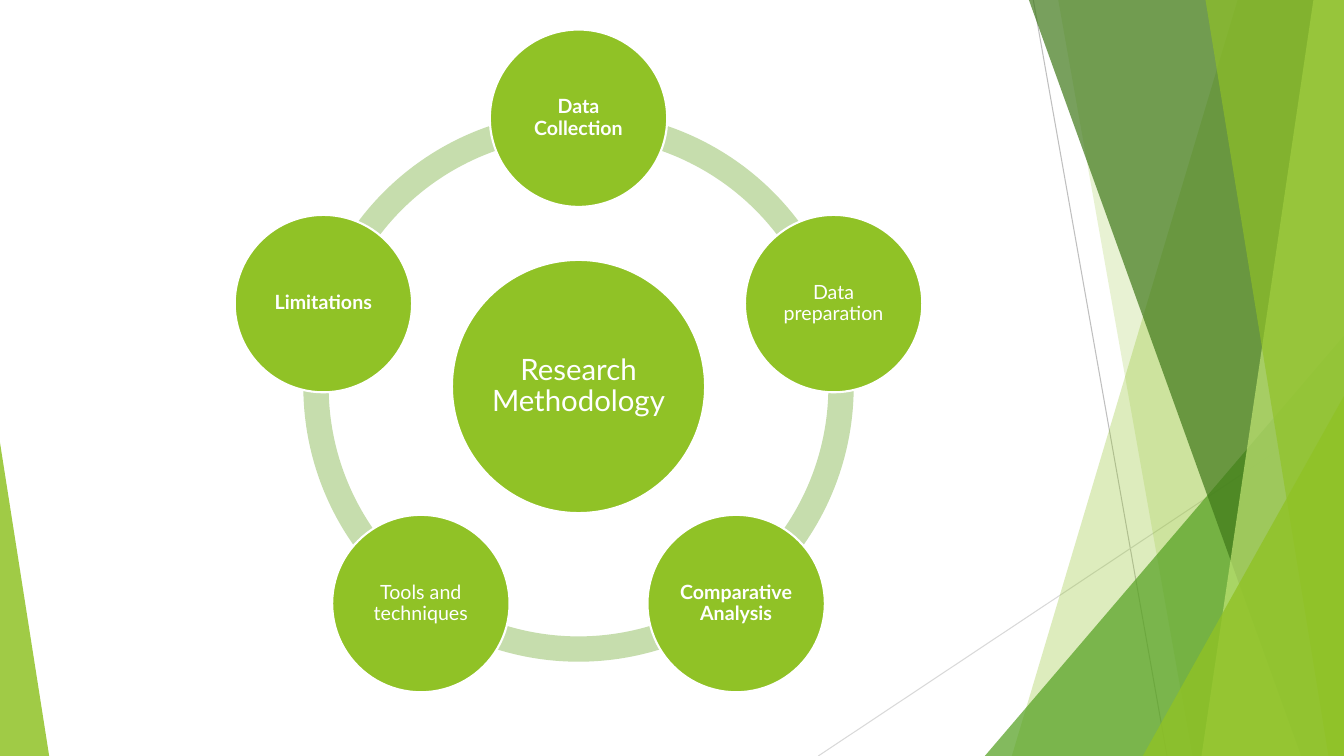
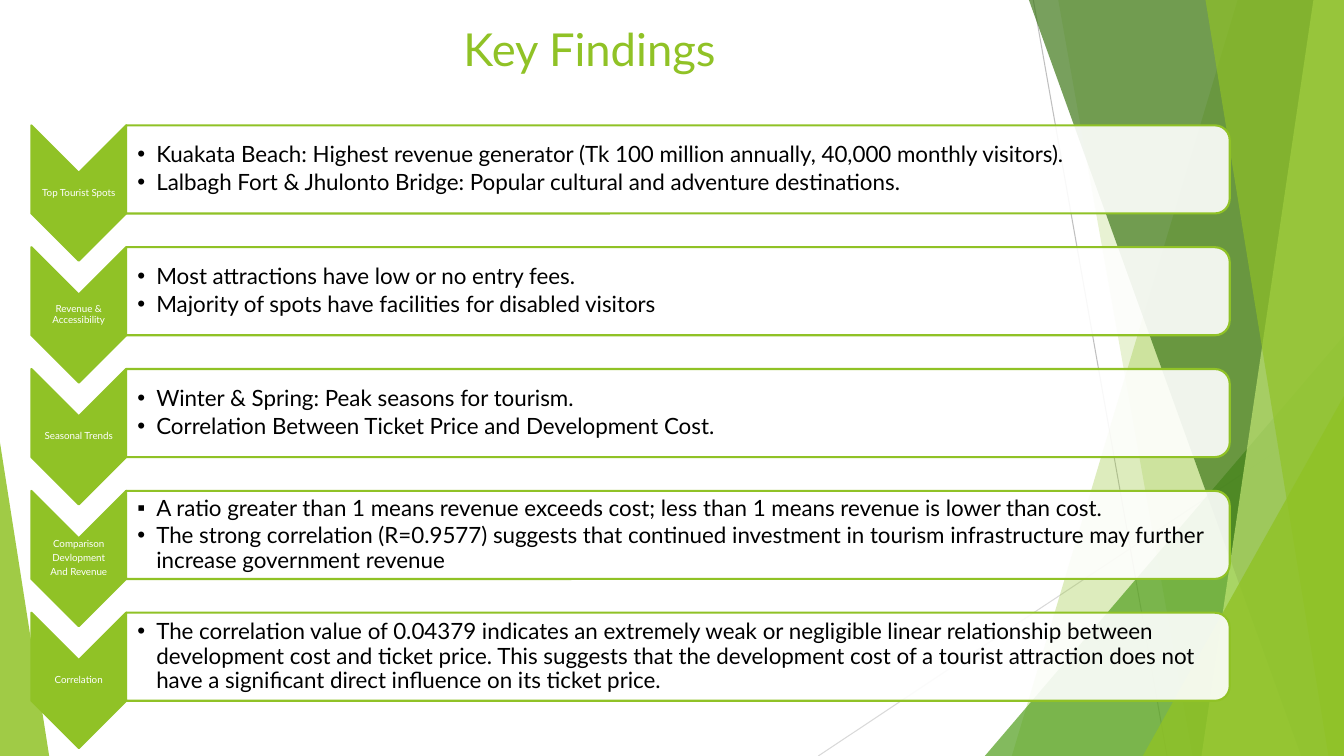
from dataclasses import dataclass
from math import cos, radians, sin

from lxml.etree import SubElement
from pptx import Presentation
from pptx.dml.color import RGBColor
from pptx.enum.shapes import MSO_CONNECTOR as Connector
from pptx.enum.shapes import MSO_SHAPE as Preset
from pptx.enum.text import MSO_ANCHOR as Anchor
from pptx.enum.text import MSO_AUTO_SIZE as AutoSize
from pptx.enum.text import PP_ALIGN as Align
from pptx.oxml.ns import qn
from pptx.shapes.autoshape import Shape
from pptx.slide import Slide
from pptx.text.text import TextFrame
from pptx.util import Cm, Pt

FONT = "Lato"
GREEN = "90C226"
WHITE = "FFFFFF"
BLACK = "000000"
RING_GREEN = "C6DDAD"
WIDTH, HEIGHT = 33.87, 19.05


@dataclass(frozen=True)
class Box:
    left: float
    top: float
    width: float
    height: float

    def lengths(self) -> tuple[Cm, Cm, Cm, Cm]:
        return Cm(self.left), Cm(self.top), Cm(self.width), Cm(self.height)

    def turned(self) -> "Box":
        """The box that fills this one after a quarter turn."""
        shift = (self.width - self.height) / 2
        return Box(self.left + shift, self.top - shift, self.height, self.width)


@dataclass(frozen=True)
class Ray:
    start: tuple[float, float]
    end: tuple[float, float]
    color: str


@dataclass(frozen=True)
class Pane:
    """A full-height pane with a slanted left edge, reaching the right edge."""
    top_x: float
    bottom_x: float
    color: str
    opacity: int


@dataclass(frozen=True)
class Wedge:
    """A right triangle standing on the bottom edge."""
    left: float
    top: float
    width: float
    apex: float
    color: str
    opacity: int


@dataclass(frozen=True)
class Node:
    label: str
    bold: bool = False


@dataclass(frozen=True)
class Finding:
    labels: tuple[str, ...]
    points: tuple[str, ...]
    first_bullet: str = "•"


RAYS = (
    Ray((26.04, 0), (29.41, HEIGHT), "BFBFBF"),
    Ray((WIDTH, 10.24), (20.62, HEIGHT), "D9D9D9"),
)
FACETS = (
    Pane(31.19, 25.5, GREEN, 30),
    Pane(26.67, 30.05, GREEN, 20),
    Wedge(24.82, 8.46, 9.05, 1, "54A021", 72),
    Pane(25.93, 32.79, "3F7819", 70),
    Pane(33.1, 30.28, "C0E474", 70),
    Pane(30.38, 33.48, GREEN, 65),
    Wedge(28.8, 9.98, 5.07, 1, GREEN, 80),
    Wedge(0, 11.15, 1.24, 0, GREEN, 85),
)
NODES = (
    Node("Data Collection", bold=True),
    Node("Data preparation"),
    Node("Comparative Analysis", bold=True),
    Node("Tools and techniques"),
    Node("Limitations", bold=True),
)
FINDINGS = (
    Finding(("Top Tourist Spots",), (
        "Kuakata Beach: Highest revenue generator (Tk 100 million annually, "
        "40,000 monthly visitors).",
        "Lalbagh Fort & Jhulonto Bridge: Popular cultural and adventure destinations.",
    )),
    Finding(("Revenue & Accessibility",), (
        "Most attractions have low or no entry fees.",
        "Majority of spots have facilities for disabled visitors",
    )),
    Finding(("Seasonal Trends",), (
        "Winter & Spring: Peak seasons for tourism.",
        "Correlation Between Ticket Price and Development Cost.",
    )),
    Finding(("Comparison", "Devlopment", "And Revenue"), (
        "A ratio greater than 1 means revenue exceeds cost; "
        "less than 1 means revenue is lower than cost.",
        "The strong correlation (R=0.9577) suggests that continued investment in "
        "tourism infrastructure may further increase government revenue",
    ), first_bullet="▪"),
    Finding(("Correlation",), (
        "The correlation value of 0.04379 indicates an extremely weak or negligible "
        "linear relationship between development cost and ticket price. This suggests "
        "that the development cost of a tourist attraction does not have a significant "
        "direct influence on its ticket price.",
    )),
)


def rgb(color: str) -> RGBColor:
    return RGBColor.from_string(color)


def paint(shape: Shape, color: str, opacity: int = 100, line: str | None = None) -> None:
    shape.shadow.inherit = False
    shape.fill.solid()
    shape.fill.fore_color.rgb = rgb(color)
    if opacity < 100:
        tint = shape.element.spPr.find(qn("a:solidFill")).find(qn("a:srgbClr"))
        SubElement(tint, qn("a:alpha"), val=str(opacity * 1000))
    if line:
        shape.line.color.rgb = rgb(line)
        shape.line.width = Pt(1.5)
    else:
        shape.line.fill.background()


def add_preset(slide: Slide, preset: Preset, box: Box) -> Shape:
    return slide.shapes.add_shape(preset, *box.lengths())


def set_frame(frame: TextFrame, anchor: Anchor, inset: float, left_inset: float) -> None:
    frame.word_wrap = True
    frame.auto_size = AutoSize.NONE
    frame.vertical_anchor = anchor
    frame.margin_left = Cm(left_inset)
    frame.margin_top = frame.margin_right = frame.margin_bottom = Cm(inset)


def write(frame: TextFrame, lines: tuple[str, ...], size: float, color: str,
          align: Align = Align.CENTER, gap: float = 0.35, bold: bool = False,
          bullets: tuple[str, ...] = ()) -> None:
    """Write one paragraph per line; gap is the space after as a share of the size."""
    for index, line in enumerate(lines):
        para = frame.paragraphs[0] if index == 0 else frame.add_paragraph()
        para.text = line
        para.alignment = align
        para.line_spacing = 0.9
        para.space_before = Pt(0)
        para.space_after = Pt(size * gap)
        if bullets:
            set_bullet(para, bullets[index])
        para.font.name = FONT
        para.font.size = Pt(size)
        para.font.bold = bold
        para.font.color.rgb = rgb(color)


def set_bullet(para, symbol: str) -> None:
    """Add a hanging bullet; call before the paragraph font is set."""
    properties = para._p.get_or_add_pPr()
    properties.set("marL", str(Cm(0.48)))
    properties.set("indent", str(-Cm(0.48)))
    SubElement(properties, qn("a:buFont"), typeface="Arial")
    SubElement(properties, qn("a:buChar"), char=symbol)


def draw_ray(slide: Slide, ray: Ray) -> None:
    points = [Cm(value) for value in (*ray.start, *ray.end)]
    line = slide.shapes.add_connector(Connector.STRAIGHT, *points)
    line.line.color.rgb = rgb(ray.color)
    line.line.width = Pt(0.75)
    SubElement(line.element.spPr, qn("a:effectLst"))


def draw_facet(slide: Slide, facet: Pane | Wedge) -> None:
    if isinstance(facet, Pane):
        outline = slide.shapes.build_freeform(Cm(facet.top_x), 0)
        corners = ((WIDTH, 0), (WIDTH, HEIGHT), (facet.bottom_x, HEIGHT))
        outline.add_line_segments([(Cm(x), Cm(y)) for x, y in corners], close=True)
        shape = outline.convert_to_shape()
    else:
        box = Box(facet.left, facet.top, facet.width, HEIGHT - facet.top)
        shape = add_preset(slide, Preset.ISOSCELES_TRIANGLE, box)
        shape.adjustments[0] = facet.apex
    paint(shape, facet.color, facet.opacity)


def move_to_master(slide: Slide) -> None:
    """Put everything drawn on the slide behind the master's placeholders."""
    tree = slide.slide_layout.slide_master.shapes.element
    for index, shape in enumerate(list(slide.shapes)):
        shape.element.xpath(".//p:cNvPr")[0].set("id", str(100 + index))
        tree.insert(2 + index, shape.element)


def draw_backdrop(slide: Slide) -> None:
    for ray in RAYS:
        draw_ray(slide, ray)
    for facet in FACETS:
        draw_facet(slide, facet)
    move_to_master(slide)


def draw_disc(slide: Slide, center: tuple[float, float], diameter: float,
              node: Node, size: float) -> None:
    x, y = center
    box = Box(x - diameter / 2, y - diameter / 2, diameter, diameter)
    disc = add_preset(slide, Preset.OVAL, box)
    paint(disc, GREEN, line=WHITE)
    set_frame(disc.text_frame, Anchor.MIDDLE, 0.05, 0.05)
    write(disc.text_frame, (node.label,), size, WHITE, bold=node.bold)


def draw_methodology(slide: Slide) -> None:
    x, y = center = 14.58, 9.74
    ring_size, orbit = 13.87, 6.76
    ring_box = Box(x - ring_size / 2, y - ring_size / 2, ring_size, ring_size)
    ring = add_preset(slide, Preset.DONUT, ring_box)
    ring.adjustments[0] = 0.046
    paint(ring, RING_GREEN)
    draw_disc(slide, center, 6.38, Node("Research Methodology"), 21)
    for index, node in enumerate(NODES):
        angle = radians(index * 360 / len(NODES) - 90)
        spot = x + orbit * cos(angle), y + orbit * sin(angle)
        draw_disc(slide, spot, 4.47, node, 14)


def draw_finding(slide: Slide, finding: Finding, top: float) -> None:
    arrow_box = Box(0.79, top, 2.39, 3.41)
    bar_box = Box(3.18, top, 27.81, 2.22)
    label_box = Box(arrow_box.left, top + 1.2, arrow_box.width, 1.01)

    arrow = add_preset(slide, Preset.CHEVRON, arrow_box.turned())
    paint(arrow, GREEN, line=GREEN)
    bar = add_preset(slide, Preset.ROUND_2_SAME_RECTANGLE, bar_box.turned())
    paint(bar, WHITE, 90, line=GREEN)
    arrow.rotation = bar.rotation = 90

    label = slide.shapes.add_textbox(*label_box.lengths()).text_frame
    set_frame(label, Anchor.MIDDLE, 0, 0)
    write(label, finding.labels, 7, WHITE)

    points = slide.shapes.add_textbox(*bar_box.lengths()).text_frame
    set_frame(points, Anchor.MIDDLE, 0.1, 0.28)
    bullets = (finding.first_bullet,) + ("•",) * (len(finding.points) - 1)
    write(points, finding.points, 16, BLACK, Align.LEFT, 0.15, bullets=bullets)


def draw_findings(slide: Slide) -> None:
    title = slide.shapes.title
    title.left, title.top, title.width, title.height = Box(11.43, 0.41, 8.23, 2.08).lengths()
    set_frame(title.text_frame, Anchor.TOP, 0.13, 0.25)
    write(title.text_frame, ("Key Findings",), 32.4, GREEN, Align.LEFT, 0)
    title.text_frame.paragraphs[0].line_spacing = 1.0
    for index, finding in enumerate(FINDINGS):
        draw_finding(slide, finding, 3.16 + index * 3.07)


def main() -> None:
    deck = Presentation()
    deck.slide_width, deck.slide_height = Cm(WIDTH), Cm(HEIGHT)
    title_only, blank = deck.slide_layouts[5], deck.slide_layouts[6]
    methodology = deck.slides.add_slide(blank)
    draw_backdrop(methodology)
    draw_methodology(methodology)
    draw_findings(deck.slides.add_slide(title_only))
    deck.save("out.pptx")


if __name__ == "__main__":
    main()
